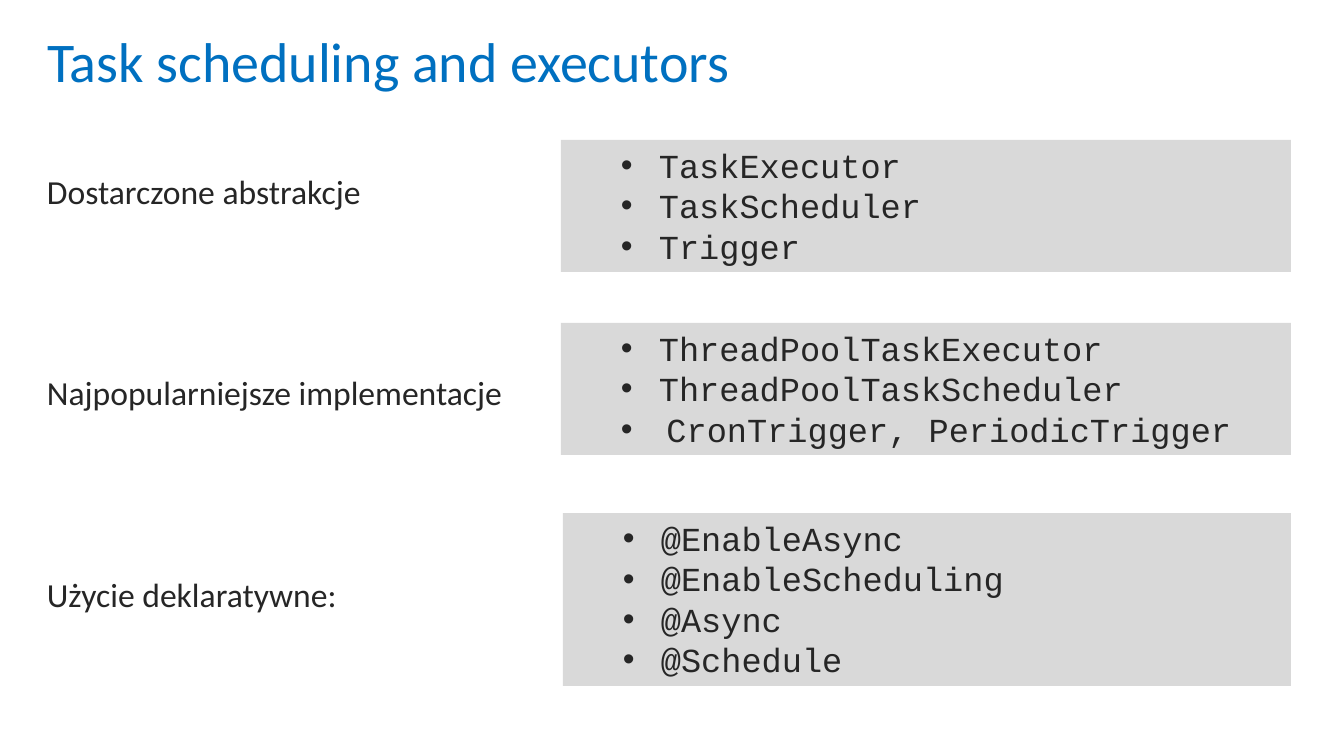
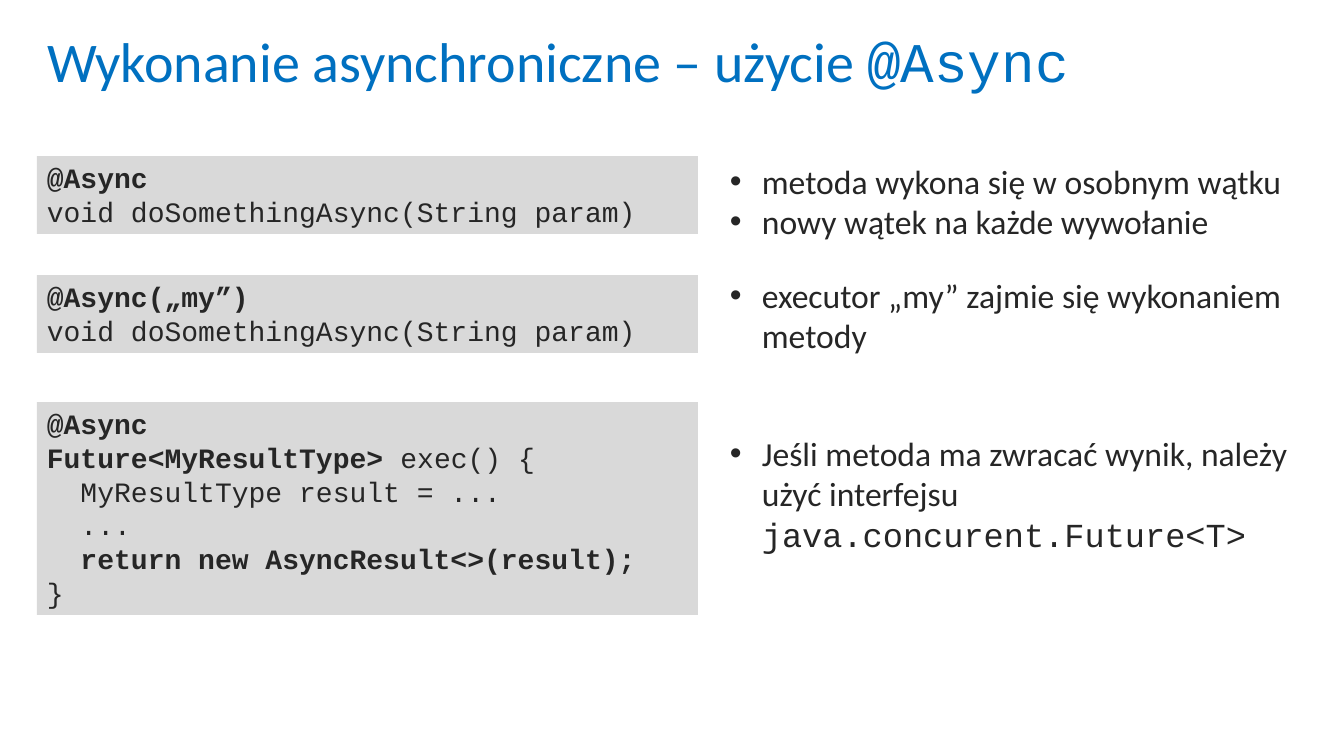
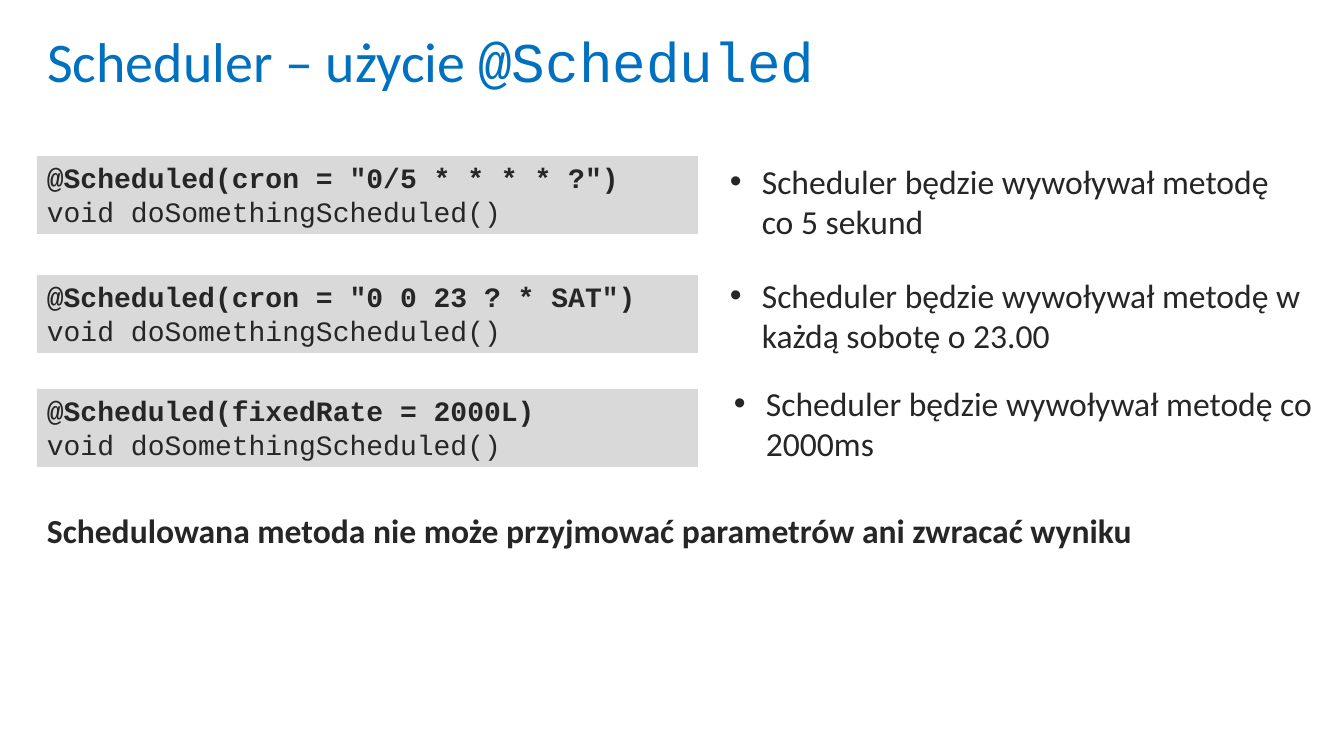
import pptx
import pptx.dml.color
import pptx.enum.shapes
import pptx.enum.text
import pptx.oxml
import pptx.oxml.ns
import pptx.util

PX = 914400 / 100.8
TITLE_BLUE = pptx.dml.color.RGBColor(0x00, 0x70, 0xC0)
TEXT_DARK = pptx.dml.color.RGBColor(0x26, 0x26, 0x26)
PANEL_GREY = pptx.dml.color.RGBColor(0xD9, 0xD9, 0xD9)
PROSE_FONT, CODE_FONT = "Calibri", "Courier New"
TITLE_SIZE, TEXT_SIZE, CODE_SIZE = 40, 24, 20
LEFT = 37
CODE_WIDTH = 661
NOTE_LEFT = 720
LIST_INDENT = (88, 38)
NOTE_INDENT = (32, 32)


def px(length):
    """Turn pixels into EMU."""
    return pptx.util.Emu(round(length * PX))


def prose(text, bold=False):
    """Describe a run of running text."""
    return text, PROSE_FONT, bold


def code(text, bold=False):
    """Describe a run of code."""
    return text, CODE_FONT, bold


def add_bullet(paragraph, margin, hanging):
    """Give a paragraph a round bullet with a hanging indent."""
    properties = paragraph._p.get_or_add_pPr()
    properties.set("marL", str(px(margin)))
    properties.set("indent", str(-px(hanging)))
    namespace = pptx.oxml.ns.nsdecls("a")
    properties.append(pptx.oxml.parse_xml(f'<a:buFont {namespace} typeface="Arial"/>'))
    properties.append(pptx.oxml.parse_xml(f'<a:buChar {namespace} char="•"/>'))


def write_runs(paragraph, runs, size, color):
    """Write formatted runs into a paragraph."""
    for text, font, bold in runs:
        run = paragraph.add_run()
        run.text = text
        run.font.name = font
        run.font.size = pptx.util.Pt(size)
        run.font.bold = bold
        run.font.color.rgb = color


def write_lines(shape, lines, size, indent=None, gap=0):
    """Fill a shape with left-aligned paragraphs."""
    text_frame = shape.text_frame
    text_frame.word_wrap = True
    text_frame.auto_size = pptx.enum.text.MSO_AUTO_SIZE.SHAPE_TO_FIT_TEXT
    text_frame.vertical_anchor = pptx.enum.text.MSO_ANCHOR.TOP
    for index, runs in enumerate(lines):
        paragraph = text_frame.add_paragraph() if index else text_frame.paragraphs[0]
        paragraph.alignment = pptx.enum.text.PP_ALIGN.LEFT
        paragraph.line_spacing = 1.0
        if index and gap:
            paragraph.space_before = pptx.util.Pt(gap)
        if indent:
            add_bullet(paragraph, *indent)
        write_runs(paragraph, runs, size, TEXT_DARK)


def add_text(slide, box, lines, indent=None, gap=0):
    """Place plain text in a box."""
    shape = slide.shapes.add_textbox(*map(px, box))
    write_lines(shape, lines, TEXT_SIZE, indent, gap)


def add_panel(slide, box, lines, size, indent=None):
    """Place a grey code panel in a box."""
    rectangle = pptx.enum.shapes.MSO_SHAPE.RECTANGLE
    shape = slide.shapes.add_shape(rectangle, *map(px, box))
    shape.shadow.inherit = False
    shape.fill.solid()
    shape.fill.fore_color.rgb = PANEL_GREY
    shape.line.fill.background()
    write_lines(shape, lines, size, indent)


def add_titled_slide(presentation, runs, height=146):
    """Add a slide with the shared title style."""
    slide = presentation.slides.add_slide(presentation.slide_layouts[5])
    title = slide.shapes.title
    title.left, title.top, title.width, title.height = map(px, (LEFT, 29, 1204, height))
    text_frame = title.text_frame
    text_frame.word_wrap = True
    text_frame.auto_size = pptx.enum.text.MSO_AUTO_SIZE.NONE
    text_frame.vertical_anchor = pptx.enum.text.MSO_ANCHOR.TOP
    paragraph = text_frame.paragraphs[0]
    paragraph.alignment = pptx.enum.text.PP_ALIGN.LEFT
    paragraph.line_spacing = 0.9
    write_runs(paragraph, runs, TITLE_SIZE, TITLE_BLUE)
    return slide


def add_code_row(slide, panel_span, lines, note_box, note_lines):
    """Place a code panel and the notes on its right."""
    top, height = panel_span
    add_panel(slide, (LEFT, top, CODE_WIDTH, height), lines, CODE_SIZE)
    add_text(slide, note_box, note_lines, NOTE_INDENT)


def build_executors_slide(presentation):
    """Build the overview of abstractions and implementations."""
    slide = add_titled_slide(presentation, [prose("Task scheduling and executors")], 80)
    labels = ("Dostarczone abstrakcje", "Najpopularniejsze implementacje",
              "Użycie deklaratywne:")
    add_text(slide, (LEFT, 166, 500, 453), [[prose(label)] for label in labels], gap=115)
    panels = (
        ((561, 140, 730, 132),
         [[code("TaskExecutor")], [code("TaskScheduler")], [code("Trigger")]]),
        ((561, 323, 730, 132),
         [[code("ThreadPoolTaskExecutor")], [code("ThreadPoolTaskScheduler")],
          [prose(" "), code("CronTrigger, PeriodicTrigger")]]),
        ((563, 513, 728, 173),
         [[code("@EnableAsync")], [code("@EnableScheduling")],
          [code("@Async")], [code("@Schedule")]]),
    )
    for box, lines in panels:
        add_panel(slide, box, lines, TEXT_SIZE, LIST_INDENT)


def build_async_slide(presentation):
    """Build the slide on asynchronous execution."""
    slide = add_titled_slide(
        presentation, [prose("Wykonanie asynchroniczne – użycie "), code("@Async")])
    signature = [code("void doSomethingAsync(String param)")]
    future_lines = [
        [code("@Async", True)],
        [code("Future<MyResultType>", True), code(" exec() {")],
        [code("  MyResultType result = ...")],
        [code("  ...")],
        [code("  return new AsyncResult<>(result);", True)],
        [code("}")],
    ]
    rows = (
        ((156, 78), [[code("@Async", True)], signature],
         (NOTE_LEFT, 156, 603, 92),
         [[prose("metoda wykona się w osobnym wątku")],
          [prose("nowy wątek na każde wywołanie")]]),
        ((275, 78), [[code("@Async(„my”)", True)], signature],
         (NOTE_LEFT, 270, 637, 92),
         [[prose("executor „my” zajmie się wykonaniem metody")]]),
        ((402, 213), future_lines,
         (NOTE_LEFT, 428, 603, 132),
         [[prose("Jeśli metoda ma zwracać wynik, należy użyć interfejsu "),
           code("java.concurent.Future<T>")]]),
    )
    for row in rows:
        add_code_row(slide, *row)


def build_scheduler_slide(presentation):
    """Build the slide on scheduled methods."""
    slide = add_titled_slide(
        presentation, [prose("Scheduler – użycie "), code("@Scheduled")])
    rows = (
        (156, '@Scheduled(cron = "0/5 * * * * ?")', (NOTE_LEFT, 156, 596, 92),
         "co 5 sekund"),
        (275, '@Scheduled(cron = "0 0 23 ? * SAT")', (NOTE_LEFT, 270, 596, 92),
         "w każdą sobotę o 23.00"),
        (389, "@Scheduled(fixedRate = 2000L)", (724, 378, 600, 92),
         "co 2000ms"),
    )
    for top, annotation, note_box, timing in rows:
        lines = [[code(annotation, True)], [code("void doSomethingScheduled()")]]
        note = [[prose(f"Scheduler będzie wywoływał metodę {timing}")]]
        add_code_row(slide, (top, 78), lines, note_box, note)
    warning = "Schedulowana metoda nie może przyjmować parametrów ani zwracać wyniku"
    add_text(slide, (LEFT, 505, 1246, 50), [[prose(warning, True)]])


def main():
    """Build and save the presentation."""
    presentation = pptx.Presentation()
    presentation.slide_width = px(1344)
    presentation.slide_height = px(756)
    build_executors_slide(presentation)
    build_async_slide(presentation)
    build_scheduler_slide(presentation)
    presentation.save("out.pptx")


if __name__ == "__main__":
    main()
